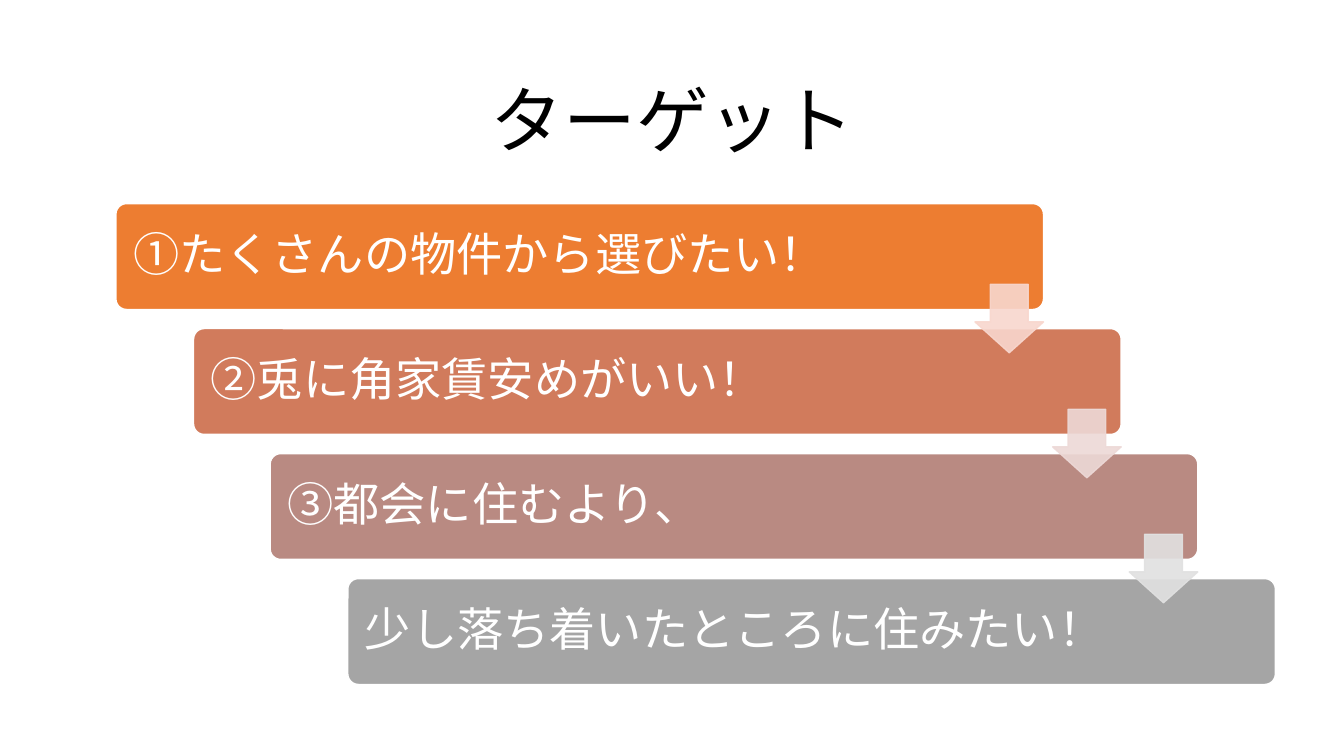
import pptx
import pptx.dml.color
import pptx.enum.shapes
import pptx.enum.text
import pptx.oxml.ns
import pptx.util
from lxml import etree

PX = 9144
FONT = "Noto Sans CJK JP"
STEPS = [
    ("①たくさんの物件から選びたい！", "ED7D31", "F8D7CE"),
    ("②兎に角家賃安めがいい！", "D17B5C", "EDD9D7"),
    ("③都会に住むより、", "B98A82", "E1E1E1"),
    ("少し落ち着いたところに住みたい！", "A5A5A5", None),
]


def color(value):
    """Turn a hex string into a colour."""
    return pptx.dml.color.RGBColor.from_string(value)


def emu(box):
    """Scale a box from px to EMU."""
    return [value * PX for value in box]


def add_text(slide, box, text, size, text_color, inset, align=None, after=0):
    """Place one vertically centred line of text."""
    frame = slide.shapes.add_textbox(*emu(box)).text_frame
    frame.word_wrap = True
    frame.vertical_anchor = pptx.enum.text.MSO_ANCHOR.MIDDLE
    frame.margin_left = frame.margin_right = inset[0] * PX
    frame.margin_top = frame.margin_bottom = inset[1] * PX
    paragraph = frame.paragraphs[0]
    paragraph.alignment = align
    paragraph.line_spacing = 0.9
    paragraph.space_after = pptx.util.Pt(after)
    run = paragraph.add_run()
    run.text = text
    run.font.size = pptx.util.Pt(size)
    run.font.color.rgb = color(text_color)
    run.font.name = FONT
    east_asian = etree.SubElement(run.font._element, pptx.oxml.ns.qn("a:ea"))
    east_asian.set("typeface", FONT)


def add_block(slide, kind, box, adjustments, fill, line, opacity=100):
    """Place a filled and outlined preset shape."""
    shape = slide.shapes.add_shape(kind, *emu(box))
    shape.shadow.inherit = False
    for index, adjustment in enumerate(adjustments):
        shape.adjustments[index] = adjustment
    shape.fill.solid()
    shape.fill.fore_color.rgb = color(fill)
    shape.line.color.rgb = color(line)
    shape.line.width = pptx.util.Pt(1)
    if opacity < 100:
        for element in shape._element.spPr.iter(pptx.oxml.ns.qn("a:srgbClr")):
            alpha = etree.SubElement(element, pptx.oxml.ns.qn("a:alpha"))
            alpha.set("val", str(opacity * 1000))


def add_title(slide, box):
    """Place the centred heading."""
    add_text(slide, box, "ターゲット", 52, "000000", (10, 5),
             pptx.enum.text.PP_ALIGN.CENTER, 6)


def add_staircase(slide, box):
    """Place the stepped bars, then the arrows that join them."""
    left, top, width, height = box
    bar_width, bar_height, arrow_size = 920, 105, 68
    shapes = pptx.enum.shapes.MSO_SHAPE
    gaps = len(STEPS) - 1
    corners = [(left + round(index * (width - bar_width) / gaps),
                top + round(index * (height - bar_height) / gaps))
               for index in range(len(STEPS))]
    for (x, y), (text, fill, _) in zip(corners, STEPS):
        add_block(slide, shapes.ROUNDED_RECTANGLE,
                  (x, y, bar_width, bar_height), [0.1], fill, "FFFFFF")
        add_text(slide, (x + 3, y + 3, 770, bar_height - 6), text, 33,
                 "FFFFFF", (14, 14))
    for (x, y), (_, _, fill) in zip(corners[:-1], STEPS):
        add_block(slide, shapes.DOWN_ARROW,
                  (x + bar_width - arrow_size, y + 80, arrow_size, arrow_size),
                  [0.55, 0.45], fill, fill, 90)


def main():
    """Build and save the slide."""
    presentation = pptx.Presentation()
    presentation.slide_width = 1333 * PX
    presentation.slide_height = 750 * PX
    slide = presentation.slides.add_slide(presentation.slide_layouts[6])
    add_title(slide, (92, 61, 1150, 124))
    add_staircase(slide, (115, 202, 1150, 477))
    presentation.save("out.pptx")


if __name__ == "__main__":
    main()
